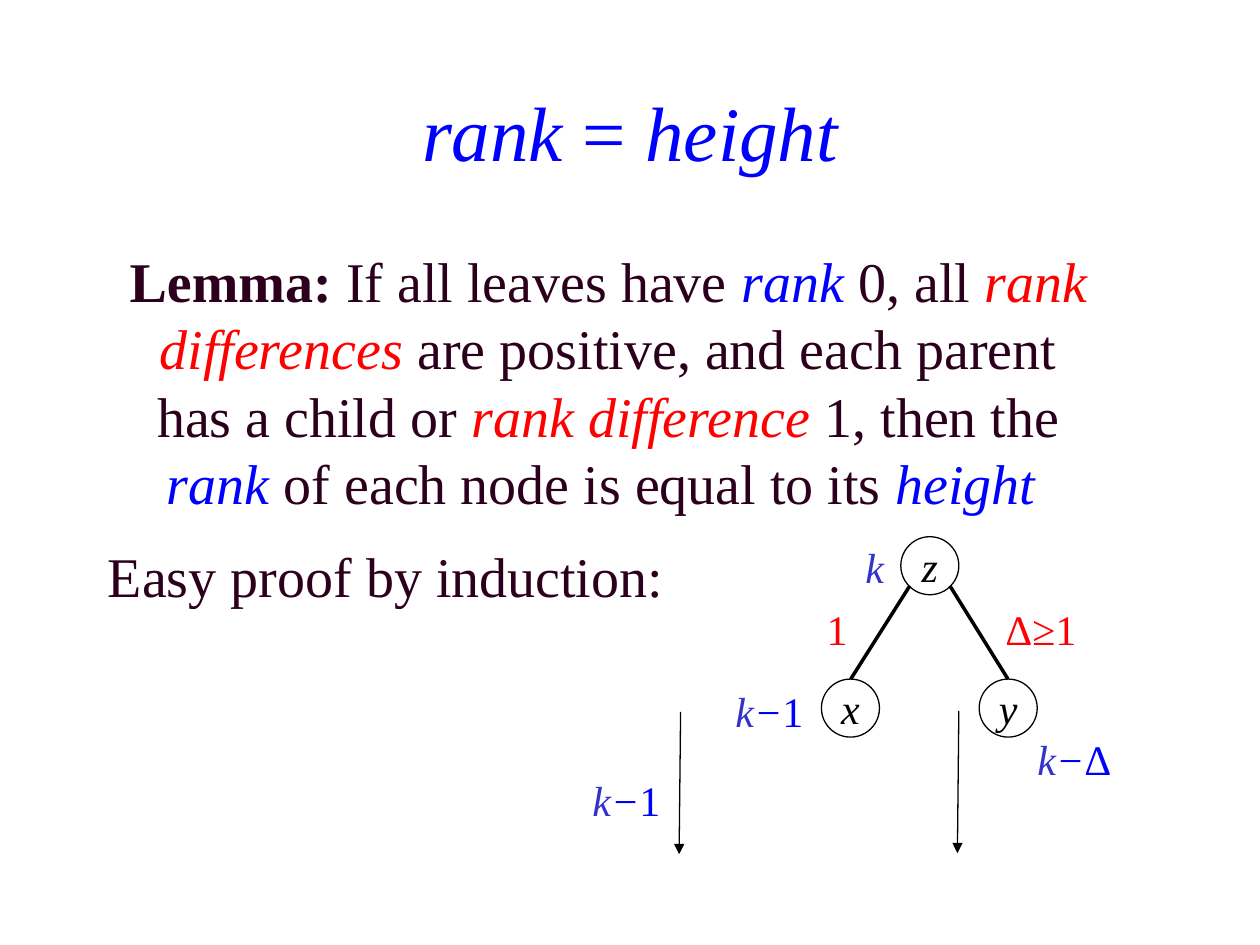
from lxml import etree
from pptx import Presentation
from pptx.dml.color import RGBColor
from pptx.enum.shapes import MSO_CONNECTOR, MSO_SHAPE
from pptx.enum.text import MSO_ANCHOR, MSO_AUTO_SIZE, PP_ALIGN
from pptx.oxml.ns import qn
from pptx.util import Cm, Pt

STRAIGHT = MSO_CONNECTOR.STRAIGHT
OVAL = MSO_SHAPE.OVAL
TOP, MIDDLE = MSO_ANCHOR.TOP, MSO_ANCHOR.MIDDLE
NO_AUTOFIT = MSO_AUTO_SIZE.NONE
CENTER = PP_ALIGN.CENTER

BLACK = RGBColor(0x00, 0x00, 0x00)
BLUE = RGBColor(0x00, 0x00, 0xFF)
INDIGO = RGBColor(0x33, 0x33, 0xCC)
RED = RGBColor(0xFF, 0x00, 0x00)
PLUM = RGBColor(0x2C, 0x00, 0x1D)
FONT = "Times New Roman"


def write(frame, runs, size, anchor=TOP, wrap=True):
    """Fill a frame with one centred paragraph of (text, colour, style) runs."""
    frame.auto_size = NO_AUTOFIT
    frame.word_wrap = wrap
    frame.vertical_anchor = anchor
    paragraph = frame.paragraphs[0]
    paragraph.alignment = CENTER
    for text, color, style in runs:
        run = paragraph.add_run()
        run.text = text
        run.font.name = FONT
        run.font.size = Pt(size)
        run.font.color.rgb = color
        run.font.bold = style == "bold"
        run.font.italic = style == "italic"


def draw_line(start, end, width, arrow=False):
    line = slide.shapes.add_connector(
        STRAIGHT, Cm(start[0]), Cm(start[1]), Cm(end[0]), Cm(end[1]))
    line.line.color.rgb = BLACK
    line.line.width = Pt(width)
    if arrow:
        etree.SubElement(line.line._get_or_add_ln(), qn("a:tailEnd"), type="triangle")
    etree.SubElement(line._element.spPr, qn("a:effectLst"))


prs = Presentation()
prs.slide_width, prs.slide_height = Cm(25.4), Cm(19.05)
slide = prs.slides.add_slide(prs.slide_layouts[5])

# Title
title = slide.shapes.title
title.left, title.top, title.width, title.height = Cm(0), Cm(1.57), Cm(25.4), Cm(2.13)
write(title.text_frame, [("rank", BLUE, "italic"), (" = ", BLUE, ""),
                         ("height", BLUE, "italic")], 44)

# Lemma and proof
lemma = [
    ("Lemma: ", PLUM, "bold"),
    ("If all leaves have ", PLUM, ""),
    ("rank", BLUE, "italic"),
    (" 0, all ", PLUM, ""),
    ("rank differences", RED, "italic"),
    (" are positive, and each parent has a child or ", PLUM, ""),
    ("rank difference ", RED, "italic"),
    ("1, then the ", PLUM, ""),
    ("rank ", BLUE, "italic"),
    ("of each node is equal to its ", PLUM, ""),
    ("height ", BLUE, "italic"),
]
proof = [("Easy proof by induction:", PLUM, "")]
for left, top, width, height, runs in [
    (2.18, 4.85, 20.17, 5.74, lemma),
    (0.25, 10.8, 15.06, 1.63, proof),
]:
    statement = slide.shapes.add_textbox(Cm(left), Cm(top), Cm(width), Cm(height))
    write(statement.text_frame, runs, 32)

# Tree: nodes, edges, and arrows pointing down
for name, left, top in [("z", 18.16, 10.82), ("x", 16.56, 13.69), ("y", 19.74, 13.69)]:
    node = slide.shapes.add_shape(OVAL, Cm(left), Cm(top), Cm(1.17), Cm(1.17))
    node.shadow.inherit = False
    node.fill.background()
    node.line.color.rgb = BLACK
    node.line.width = Pt(0.75)
    frame = node.text_frame
    frame.margin_left = frame.margin_right = frame.margin_top = frame.margin_bottom = 0
    write(frame, [(name, BLACK, "italic")], 24, anchor=MIDDLE, wrap=False)

draw_line((17.15, 13.69), (18.34, 11.81), 2)
draw_line((19.15, 11.81), (20.32, 13.69), 2)
draw_line((13.72, 14.35), (13.69, 17.22), 0.75, arrow=True)
draw_line((19.33, 14.33), (19.3, 17.2), 0.75, arrow=True)

# Ranks and rank differences
k = ("k", INDIGO, "italic")
minus = ("−", BLUE, "italic")
k_minus_1 = [k, minus, ("1", BLUE, "")]
k_minus_delta = [k, minus, ("Δ", BLUE, "")]
for left, top, width, runs in [
    (16.53, 10.8, 2.21, [k]),
    (14.38, 13.69, 2.26, k_minus_1),
    (20.57, 14.66, 2.18, k_minus_delta),
    (11.5, 15.49, 2.26, k_minus_1),
    (16.15, 12.04, 1.45, [("1", RED, "")]),
    (19.45, 12.04, 3.07, [("Δ≥1", RED, "")]),
]:
    label = slide.shapes.add_textbox(Cm(left), Cm(top), Cm(width), Cm(1.27))
    write(label.text_frame, runs, 24, wrap=False)

prs.save("out.pptx")
